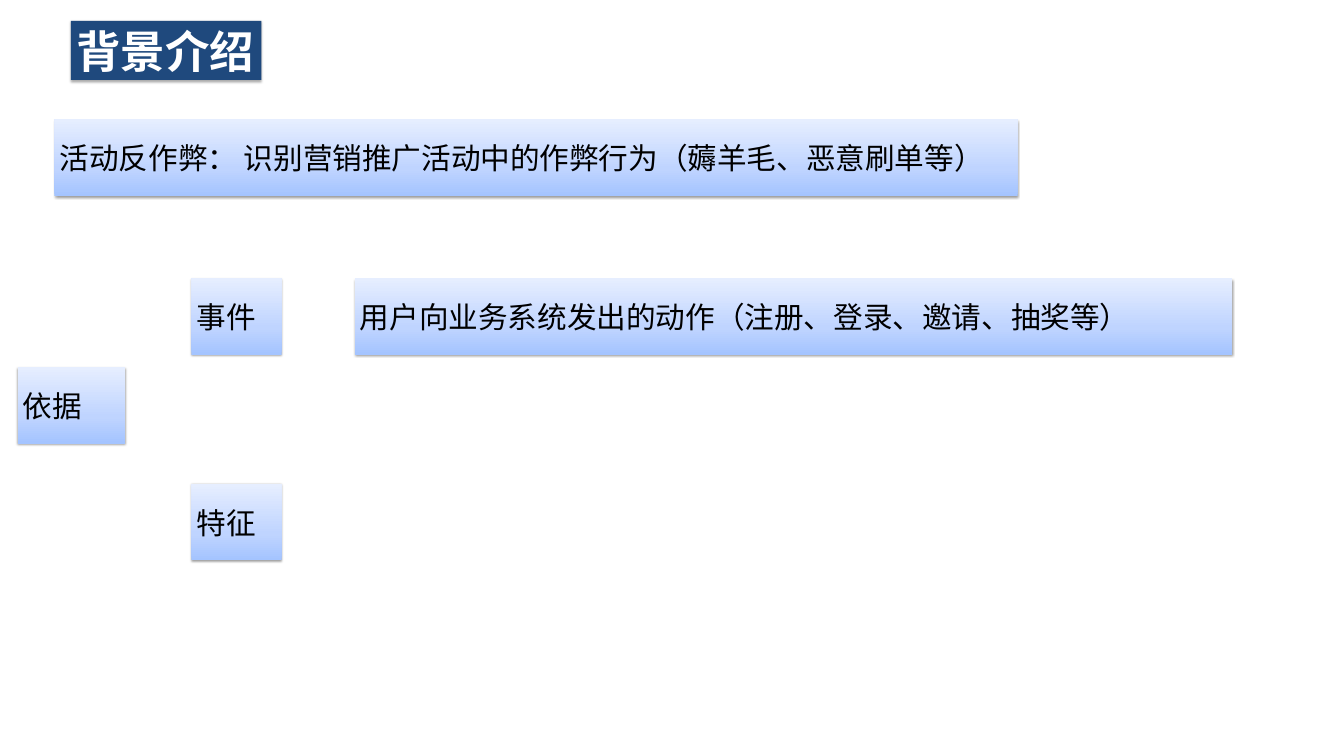
"""Build the background slide on campaign anti-cheating."""
from dataclasses import dataclass

from lxml import etree
from pptx import Presentation
from pptx.dml.color import RGBColor
from pptx.enum.shapes import MSO_SHAPE
from pptx.enum.text import MSO_ANCHOR, MSO_AUTO_SIZE, PP_ALIGN
from pptx.oxml.ns import qn
from pptx.util import Pt

RECTANGLE = MSO_SHAPE.RECTANGLE
MIDDLE = MSO_ANCHOR.MIDDLE
LEFT = PP_ALIGN.LEFT
NO_AUTOFIT = MSO_AUTO_SIZE.NONE

HEADING = "背景介绍"
DEFINITION = "活动反作弊： 识别营销推广活动中的作弊行为（薅羊毛、恶意刷单等）"
BASIS = "依据"
GROUNDS = [
    ("事件", "用户向业务系统发出的动作（注册、登录、邀请、抽奖等）"),
    ("特征", None),
]

SLIDE_SIZE = (1814.4, 1020.96)
HEADING_BOX = (95.76, 28.08, 257.04, 79.92)
DEFINITION_BOX = (73.44, 161.28, 1300.32)
BASIS_BOX = (23.76, 496.08, 144.72)
GROUND_LEFT, GROUND_WIDTH = 258.48, 121.68
DETAIL_LEFT, DETAIL_WIDTH = 478.8, 1185.12
GROUNDS_TOP, GROUNDS_STEP = 375.84, 277.92
BOX_HEIGHT = 102.96


@dataclass(frozen=True)
class Theme:
    """Colours, type and shadows of the slide."""
    font: str = "Noto Sans CJK SC"
    heading_size: int = 60
    body_size: int = 40
    heading_fill: str = "1F497D"
    heading_text: str = "FFFFFF"
    body_text: str = "000000"
    gradient: tuple = ((0, "A4C4FF"), (35, "BFD4FF"), (100, "E6EEFF"))
    gradient_angle: int = 270
    shadow: str = "000000"
    heading_shadow: tuple = (32, 3.5, 2.2)
    body_shadow: tuple = (38, 3.1, 1.6)


THEME = Theme()


def add_node(parent, tag, **attributes):
    """Append a drawing element with the given attributes."""
    values = {name: str(value) for name, value in attributes.items()}
    return etree.SubElement(parent, qn(tag), values)


def drop_shadow(box, opacity, blur, distance):
    """Give a box a soft shadow straight below it."""
    effects = add_node(box.element.spPr, "a:effectLst")
    outer = add_node(effects, "a:outerShdw", blurRad=Pt(blur), dist=Pt(distance),
                     dir=90 * 60000, algn="ctr", rotWithShape=0)
    colour = add_node(outer, "a:srgbClr", val=THEME.shadow)
    add_node(colour, "a:alpha", val=opacity * 1000)


def fill_gradient(box):
    """Fill a box with the theme's vertical gradient."""
    box.fill.gradient()
    box.fill.gradient_angle = 360 - THEME.gradient_angle
    stops = box.element.spPr.find(qn("a:gradFill")).find(qn("a:gsLst"))
    for stop in list(stops):
        stops.remove(stop)
    for position, colour in THEME.gradient:
        stop = add_node(stops, "a:gs", pos=position * 1000)
        add_node(stop, "a:srgbClr", val=colour)


def write(box, text, size, colour, bold=False):
    """Set one left-aligned, vertically centred line of text."""
    frame = box.text_frame
    frame.text = text
    frame.vertical_anchor = MIDDLE
    frame.auto_size = NO_AUTOFIT
    paragraph = frame.paragraphs[0]
    paragraph.alignment = LEFT
    font = paragraph.font
    font.name, font.size, font.bold = THEME.font, Pt(size), bold
    font.color.rgb = RGBColor.from_string(colour)
    defaults = paragraph._p.pPr.find(qn("a:defRPr"))
    add_node(defaults, "a:ea", typeface=THEME.font)


def add_heading(slide):
    """Place and format the title."""
    heading = slide.shapes.title
    heading.left, heading.top, heading.width, heading.height = map(Pt, HEADING_BOX)
    heading.fill.solid()
    heading.fill.fore_color.rgb = RGBColor.from_string(THEME.heading_fill)
    heading.line.fill.background()
    drop_shadow(heading, *THEME.heading_shadow)
    write(heading, HEADING, THEME.heading_size, THEME.heading_text, bold=True)
    heading.text_frame.word_wrap = False


def add_box(slide, text, left, top, width):
    """Add a gradient box with body text."""
    box = slide.shapes.add_shape(RECTANGLE, *map(Pt, (left, top, width, BOX_HEIGHT)))
    fill_gradient(box)
    box.line.fill.background()
    drop_shadow(box, *THEME.body_shadow)
    write(box, text, THEME.body_size, THEME.body_text)
    box.text_frame.word_wrap = True


def main():
    """Assemble and save the slide."""
    deck = Presentation()
    deck.slide_width, deck.slide_height = map(Pt, SLIDE_SIZE)
    slide = deck.slides.add_slide(deck.slide_layouts[5])
    add_heading(slide)
    add_box(slide, DEFINITION, *DEFINITION_BOX)
    add_box(slide, BASIS, *BASIS_BOX)
    for row, (ground, detail) in enumerate(GROUNDS):
        top = GROUNDS_TOP + row * GROUNDS_STEP
        add_box(slide, ground, GROUND_LEFT, top, GROUND_WIDTH)
        if detail:
            add_box(slide, detail, DETAIL_LEFT, top, DETAIL_WIDTH)
    deck.save("out.pptx")


if __name__ == "__main__":
    main()
